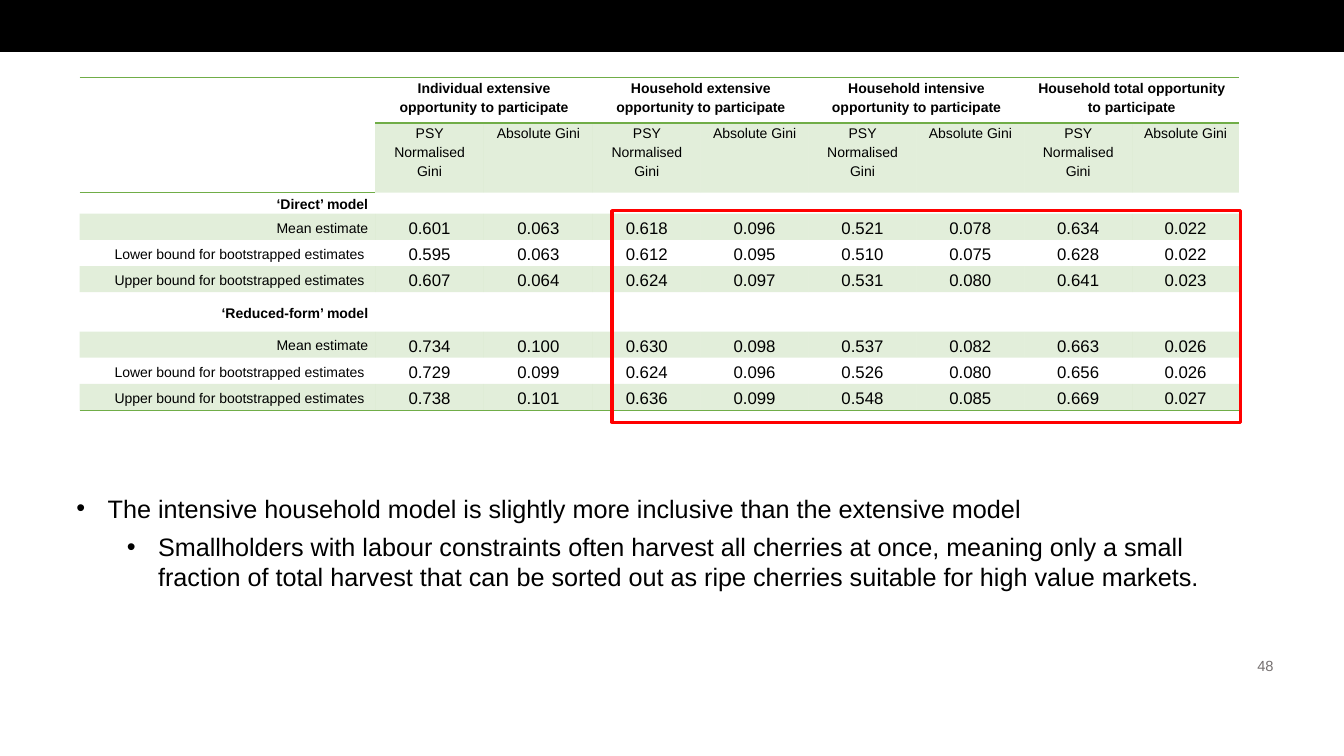
from lxml import etree
from pptx import Presentation
from pptx.dml.color import RGBColor
from pptx.enum.shapes import MSO_SHAPE
from pptx.enum.text import MSO_ANCHOR, MSO_AUTO_SIZE, PP_ALIGN
from pptx.oxml.ns import qn
from pptx.util import Inches, Pt

RECTANGLE = MSO_SHAPE.RECTANGLE
TOP, MIDDLE = MSO_ANCHOR.TOP, MSO_ANCHOR.MIDDLE
CENTER, RIGHT = PP_ALIGN.CENTER, PP_ALIGN.RIGHT

# Content
GROUPS = [
    "Individual extensive opportunity to participate",
    "Household extensive opportunity to participate",
    "Household intensive opportunity to participate",
    "Household total opportunity to participate",
]
MEASURES = ["PSY Normalised Gini", "Absolute Gini"]
ESTIMATES = [
    "Mean estimate",
    "Lower bound for bootstrapped estimates ",
    "Upper bound for bootstrapped estimates ",
]
MODELS = {
    "‘Direct’ model": [
        "0.601 0.063 0.618 0.096 0.521 0.078 0.634 0.022",
        "0.595 0.063 0.612 0.095 0.510 0.075 0.628 0.022",
        "0.607 0.064 0.624 0.097 0.531 0.080 0.641 0.023",
    ],
    "‘Reduced-form’ model": [
        "0.734 0.100 0.630 0.098 0.537 0.082 0.663 0.026",
        "0.729 0.099 0.624 0.096 0.526 0.080 0.656 0.026",
        "0.738 0.101 0.636 0.099 0.548 0.085 0.669 0.027",
    ],
}
FINDINGS = [
    (0, "The intensive household model is slightly more inclusive than the extensive model"),
    (1, "Smallholders with labour constraints often harvest all cherries at once, meaning only "
        "a small fraction of total harvest that can be sorted out as ripe cherries suitable "
        "for high value markets."),
]
PAGE_NUMBER = "48"

COLORS = {"black": "000000", "green": "70AD47", "red": "FF0000", "grey": "767171"}
FONT = "Arial"
NO_STYLE = "{2D5ABB26-0587-4C30-8999-92F81FD0307C}"
COLUMN_WIDTHS = [2.93] + [1.08] * 2 + [1.07] * 5 + [1.06]
ROW_HEIGHTS = [0.45, 0.69, 0.21] + [0.26] * 3 + [0.39] + [0.26] * 3


def rgb(name):
    return RGBColor.from_string(COLORS[name])


def set_font(paragraph, size, color="black", bold=False):
    font = paragraph.font
    font.name, font.size, font.bold = FONT, Pt(size), bold
    font.color.rgb = rgb(color)


def write_cell(cell, text, size=10, bold=False, align=CENTER, anchor=MIDDLE):
    cell.vertical_anchor = anchor
    paragraph = cell.text_frame.paragraphs[0]
    paragraph.text = text
    paragraph.alignment = align
    paragraph.line_spacing = 1.2
    paragraph.space_after = Pt(6)
    set_font(paragraph, size, bold=bold)


def add_borders(cell, sides):
    properties = cell._tc.get_or_add_tcPr()
    for side in sides:
        line = etree.SubElement(properties, qn(f"a:ln{side}"), w=str(Pt(1)))
        fill = etree.SubElement(line, qn("a:solidFill"))
        etree.SubElement(fill, qn("a:srgbClr"), val=COLORS["green"])


def tint(cell):
    cell.fill.solid()
    cell.fill.fore_color.rgb = rgb("green")
    color = cell._tc.tcPr.find(qn("a:solidFill")).find(qn("a:srgbClr"))
    etree.SubElement(color, qn("a:alpha"), val="20000")


def add_box(slide, left, top, width, height, line, weight, fill=None):
    box = slide.shapes.add_shape(
        RECTANGLE, Inches(left), Inches(top), Inches(width), Inches(height))
    box.shadow.inherit = False
    box.line.color.rgb = rgb(line)
    box.line.width = Pt(weight)
    if fill:
        box.fill.solid()
        box.fill.fore_color.rgb = rgb(fill)
    else:
        box.fill.background()


def add_text_frame(slide, left, top, width, height):
    frame = slide.shapes.add_textbox(
        Inches(left), Inches(top), Inches(width), Inches(height)).text_frame
    frame.word_wrap = True
    return frame


def add_gini_table(slide):
    rows, columns = len(ROW_HEIGHTS), len(COLUMN_WIDTHS)
    frame = slide.shapes.add_table(
        rows, columns, Inches(0.79), Inches(0.77), Inches(11.5), Inches(3.29))
    table = frame.table
    table.first_row = table.horz_banding = False
    table._tbl.tblPr.find(qn("a:tableStyleId")).text = NO_STYLE
    for column, width in zip(table.columns, COLUMN_WIDTHS):
        column.width = Inches(width)
    for row, height in zip(table.rows, ROW_HEIGHTS):
        row.height = Inches(height)

    # Margins, rules and tinted rows
    tinted_rows = {1, 3, 5, 7, 9}
    for r in range(rows):
        for c in range(columns):
            cell = table.cell(r, c)
            cell.margin_left = cell.margin_right = Inches(0.07)
            cell.margin_top = cell.margin_bottom = 0
            write_cell(cell, "")
            if r == 0:
                add_borders(cell, "TB")
            elif r == rows - 1 or (r, c) == (1, 0):
                add_borders(cell, "B")
            if r in tinted_rows and (r, c) != (1, 0):
                tint(cell)

    # Headings
    table.cell(0, 0).merge(table.cell(1, 0))
    for g, group in enumerate(GROUPS):
        first = 1 + g * len(MEASURES)
        table.cell(0, first).merge(table.cell(0, first + 1))
        write_cell(table.cell(0, first), group, bold=True, anchor=TOP)
        for m, measure in enumerate(MEASURES):
            write_cell(table.cell(1, first + m), measure, anchor=TOP)

    # Model blocks
    for b, (model, results) in enumerate(MODELS.items()):
        title_row = 2 + b * (1 + len(ESTIMATES))
        table.cell(title_row, 1).merge(table.cell(title_row, columns - 1))
        write_cell(table.cell(title_row, 0), model, bold=True, align=RIGHT)
        for r, (estimate, values) in enumerate(zip(ESTIMATES, results), title_row + 1):
            write_cell(table.cell(r, 0), estimate, align=RIGHT)
            for c, value in enumerate(values.split(), 1):
                write_cell(table.cell(r, c), value, size=12)


def add_findings(slide):
    frame = add_text_frame(slide, 0.66, 4.84, 11.63, 1.45)
    frame.auto_size = MSO_AUTO_SIZE.SHAPE_TO_FIT_TEXT
    for i, (level, text) in enumerate(FINDINGS):
        paragraph = frame.add_paragraph() if i else frame.paragraphs[0]
        paragraph.text = text
        paragraph.level = level
        paragraph.space_after = Pt(6)
        properties = paragraph._p.get_or_add_pPr()
        properties.set("marL", str(Inches(0.31 + 0.5 * level)))
        properties.set("indent", str(Inches(-0.31)))
        etree.SubElement(properties, qn("a:buFont"), typeface=FONT)
        etree.SubElement(properties, qn("a:buChar"), char="•")
        set_font(paragraph, 18)


def add_page_number(slide):
    frame = add_text_frame(slide, 11.09, 6.47, 1.64, 0.27)
    frame.vertical_anchor = MIDDLE
    paragraph = frame.paragraphs[0]
    paragraph.text = PAGE_NUMBER
    paragraph.alignment = RIGHT
    set_font(paragraph, 10.5, "grey")


def main():
    deck = Presentation()
    deck.slide_width, deck.slide_height = Inches(13.33), Inches(7.5)
    slide = deck.slides.add_slide(deck.slide_layouts[6])

    # Top band
    add_box(slide, 0, 0, 13.33, 0.51, "black", 1, fill="black")
    add_page_number(slide)
    add_gini_table(slide)
    # Frame around the household results
    add_box(slide, 6.07, 2.09, 6.23, 2.1, "red", 2.25)
    add_findings(slide)
    deck.save("out.pptx")


if __name__ == "__main__":
    main()
